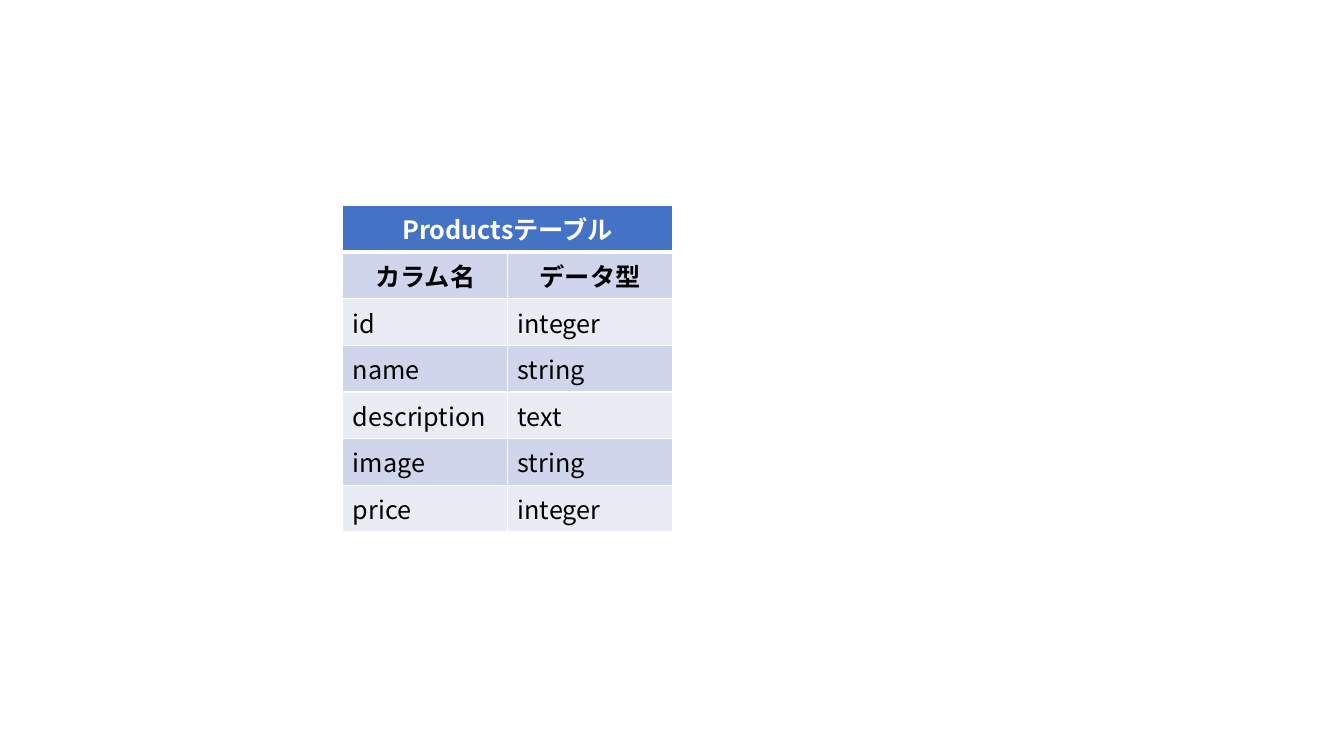
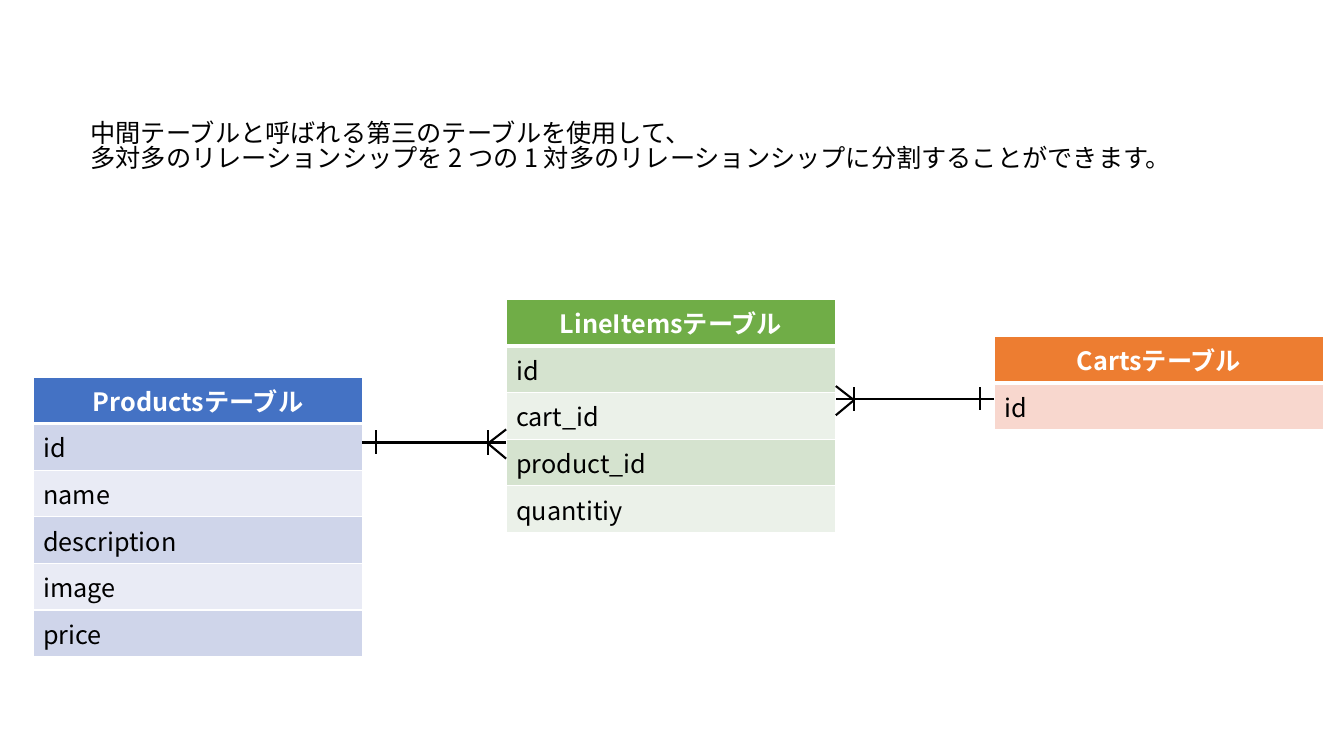
from lxml import etree
from pptx import Presentation
from pptx.dml.color import RGBColor
from pptx.enum import shapes, text
from pptx.oxml import ns
from pptx.util import Inches, Pt

FONT = "Noto Sans CJK JP"
BLACK = RGBColor(0x00, 0x00, 0x00)
WHITE = RGBColor(0xFF, 0xFF, 0xFF)
BLUE = RGBColor(0x44, 0x72, 0xC4)
BLUE_MID = RGBColor(0xCF, 0xD5, 0xEA)
BLUE_PALE = RGBColor(0xE9, 0xEB, 0xF5)
GREEN = RGBColor(0x70, 0xAD, 0x47)
GREEN_MID = RGBColor(0xD5, 0xE3, 0xCF)
GREEN_PALE = RGBColor(0xEB, 0xF1, 0xE9)
ORANGE = RGBColor(0xED, 0x7D, 0x31)
ORANGE_MID = RGBColor(0xF8, 0xD7, 0xCE)
BLUES = (BLUE, BLUE_MID, BLUE_PALE)
GREENS = (GREEN, GREEN_MID, GREEN_PALE)
ORANGES = (ORANGE, ORANGE_MID, ORANGE_MID)
TABLE_WIDTH = 3.27
ROW_HEIGHT = 0.41


def style_paragraph(para, color=BLACK, bold=False, centered=False):
    para.font.size = Pt(18)
    para.font.name = FONT
    para.font.color.rgb = color
    para.font.bold = bold
    if centered:
        para.alignment = text.PP_ALIGN.CENTER
    defaults = para._p.get_or_add_pPr().get_or_add_defRPr()
    latin = defaults.find(ns.qn("a:latin"))
    east_asian = etree.Element(ns.qn("a:ea"), typeface=FONT)
    latin.addnext(east_asian)


def add_entity(page, left, top, name, rows, colors, heading_rows=1):
    columns = len(rows[0])
    frame = page.shapes.add_table(
        len(rows) + 1, columns, Inches(left), Inches(top),
        Inches(TABLE_WIDTH), Inches(ROW_HEIGHT * (len(rows) + 1)))
    table = frame.table
    header = [name] + [""] * (columns - 1)
    for row_index, values in enumerate([header] + rows):
        heading = row_index < heading_rows
        fill = colors[0] if row_index == 0 else colors[2 - row_index % 2]
        for column_index, value in enumerate(values):
            cell = table.cell(row_index, column_index)
            cell.text = value
            style_paragraph(cell.text_frame.paragraphs[0],
                            WHITE if row_index == 0 else BLACK, heading, heading)
            properties = cell._tc.get_or_add_tcPr()
            for side in ("lnL", "lnR", "lnT", "lnB"):
                thick = (row_index, side) in ((0, "lnB"), (1, "lnT"))
                border = etree.SubElement(properties, ns.qn("a:" + side),
                                          w=str(Pt(3 if thick else 1)))
                solid = etree.SubElement(border, ns.qn("a:solidFill"))
                etree.SubElement(solid, ns.qn("a:srgbClr"), val=str(WHITE))
            cell.fill.solid()
            cell.fill.fore_color.rgb = fill
    if columns > 1:
        table.cell(0, 0).merge(table.cell(0, columns - 1))


deck = Presentation()
deck.slide_width = Inches(13.33)
deck.slide_height = Inches(7.5)
blank = deck.slide_layouts[6]

page = deck.slides.add_slide(blank)
product_columns = [("id", "integer"), ("name", "string"), ("description", "text"),
                   ("image", "string"), ("price", "integer")]
add_entity(page, 3.4, 2.04, "Productsテーブル",
           [("カラム名", "データ型")] + product_columns, BLUES, heading_rows=2)

page = deck.slides.add_slide(blank)
add_entity(page, 0.33, 3.74, "Productsテーブル",
           [(column,) for column, _ in product_columns], BLUES)
add_entity(page, 9.86, 3.34, "Cartsテーブル", [("id",)], ORANGES)
add_entity(page, 5.02, 2.97, "LineItemsテーブル",
           [("id",), ("cart_id",), ("product_id",), ("quantitiy",)], GREENS)

for one_x, many_x, y in [(9.86, 8.29, 3.96), (3.59, 5.02, 4.39)]:
    toward_one = 1 if one_x > many_x else -1
    one_tick = one_x - 0.14 * toward_one
    many_tick = many_x + 0.18 * toward_one
    group = page.shapes.add_group_shape()
    for x1, y1, x2, y2 in [
        (one_x, y, many_x, y),
        (one_tick, y - 0.12, one_tick, y + 0.11),
        (many_tick, y - 0.12, many_tick, y + 0.12),
        (many_x, y - 0.13, many_tick, y + 0.01),
        (many_x, y + 0.16, many_tick, y + 0.01),
    ]:
        line = group.shapes.add_connector(
            shapes.MSO_CONNECTOR.STRAIGHT,
            Inches(x1), Inches(y1), Inches(x2), Inches(y2))
        line.line.color.rgb = BLACK
        line.line.width = Pt(1.5)
        etree.SubElement(line._element.spPr, ns.qn("a:effectLst"))

box = page.shapes.add_textbox(Inches(0.8), Inches(1.17), Inches(11.12), Inches(1.01))
box.text_frame.word_wrap = False
box.text_frame.text = (
    "中間テーブルと呼ばれる第三のテーブルを使用して、\n"
    "多対多のリレーションシップを 2 つの 1 対多のリレーションシップに分割することができます。")
for para in box.text_frame.paragraphs:
    style_paragraph(para)
    para.line_spacing = 0.82

deck.save("out.pptx")
